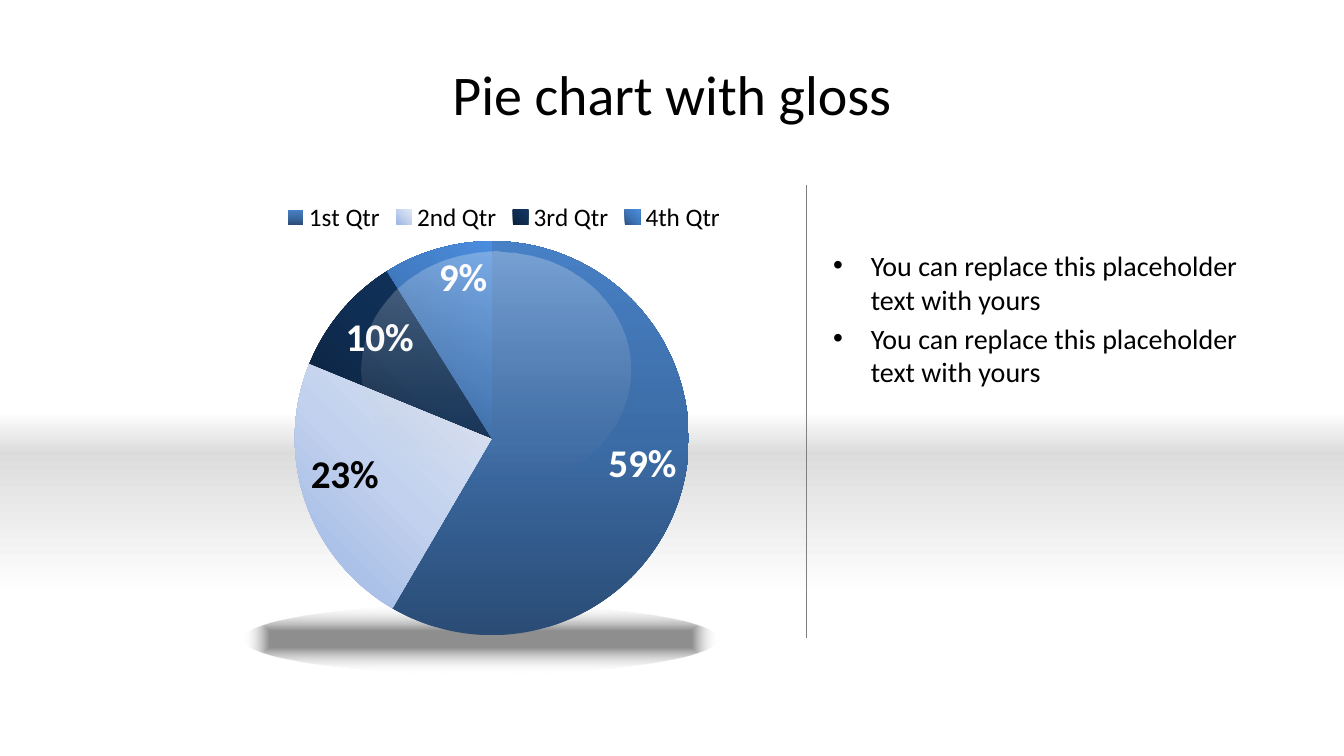
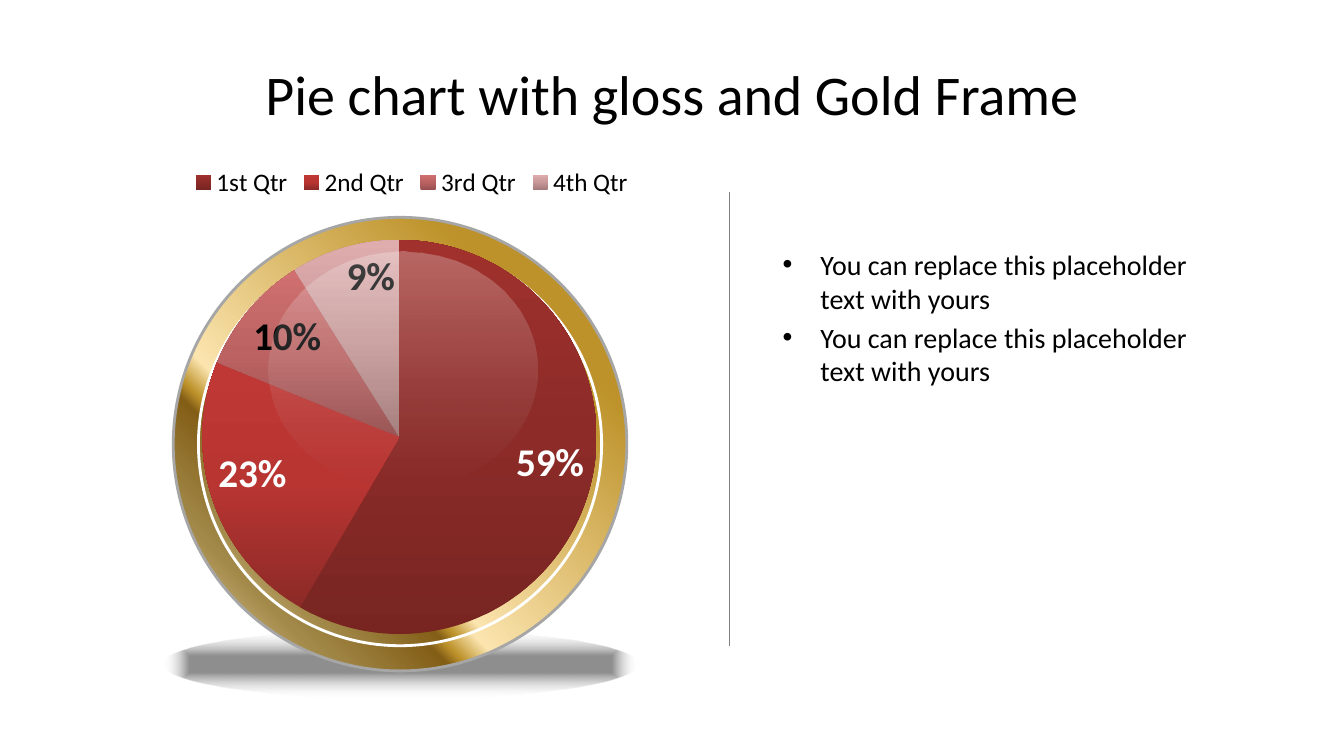
"""Build two slides, each with a glossy pie chart beside a bulleted list."""
from pptx import Presentation
from pptx.chart.data import ChartData
from pptx.dml.color import RGBColor
from pptx.enum.chart import XL_CHART_TYPE, XL_LABEL_POSITION, XL_LEGEND_POSITION
from pptx.enum.shapes import MSO_CONNECTOR, MSO_SHAPE
from pptx.enum.text import MSO_ANCHOR, PP_ALIGN
from pptx.oxml import parse_xml
from pptx.oxml.ns import nsdecls, qn
from pptx.util import Pt

PX = 9525
FONT = "Calibri"
OVAL, RECT = MSO_SHAPE.OVAL, MSO_SHAPE.RECTANGLE
PIE, STRAIGHT = XL_CHART_TYPE.PIE, MSO_CONNECTOR.STRAIGHT
INSIDE_END, LEGEND_TOP = XL_LABEL_POSITION.INSIDE_END, XL_LEGEND_POSITION.TOP
TOP, MIDDLE = MSO_ANCHOR.TOP, MSO_ANCHOR.MIDDLE
LEFT, CENTER = PP_ALIGN.LEFT, PP_ALIGN.CENTER

BLACK = RGBColor(0x00, 0x00, 0x00)
WHITE = RGBColor(0xFF, 0xFF, 0xFF)
GREY = RGBColor(0x80, 0x80, 0x80)
SILVER = RGBColor(0xA6, 0xA6, 0xA6)
BAND_LOW = RGBColor(0xDD, 0xDD, 0xDD)
BAND_HIGH = RGBColor(0xDB, 0xDB, 0xDB)
GLOSS_END = RGBColor(0xB6, 0xB6, 0xB6)
GOLD = RGBColor(0xBD, 0x92, 0x2A)
PALE_GOLD = RGBColor(0xFB, 0xE4, 0xAE)
DARK_GOLD = RGBColor(0x83, 0x5E, 0x17)
DULL_GOLD = RGBColor(0xA2, 0x89, 0x49)
CREAM = RGBColor(0xFA, 0xE3, 0xB7)
BLUES = [
    (RGBColor(0x2A, 0x4C, 0x75), RGBColor(0x3C, 0x6C, 0xA6), RGBColor(0x47, 0x80, 0xC5)),
    (RGBColor(0x9A, 0xB5, 0xE4), RGBColor(0xC2, 0xD1, 0xED), RGBColor(0xE1, 0xE8, 0xF5)),
    (RGBColor(0x0B, 0x20, 0x3B), RGBColor(0x0F, 0x2E, 0x53), RGBColor(0x12, 0x36, 0x63)),
    (RGBColor(0x2D, 0x54, 0x84), RGBColor(0x3F, 0x77, 0xBB), RGBColor(0x4B, 0x8D, 0xDE)),
]
REDS = [
    (RGBColor(0x78, 0x25, 0x22), RGBColor(0x8C, 0x2B, 0x28), RGBColor(0xA0, 0x31, 0x2D)),
    (RGBColor(0x8C, 0x2A, 0x27), RGBColor(0xB8, 0x35, 0x32), RGBColor(0xC0, 0x38, 0x35)),
    (RGBColor(0x98, 0x50, 0x50), RGBColor(0xBC, 0x62, 0x62), RGBColor(0xD0, 0x70, 0x70)),
    (RGBColor(0xA5, 0x7B, 0x7B), RGBColor(0xC8, 0x98, 0x98), RGBColor(0xDF, 0xAD, 0xAD)),
]

SHADOW_STOPS = [(24, BLACK, 44), (100, WHITE, 0)]
GLOSS_STOPS = [(0, WHITE, 27), (100, GLOSS_END, 0)]
GOLD_STOPS = [(0, PALE_GOLD, 100), (13, GOLD, 100), (21, GOLD, 100), (63, PALE_GOLD, 100),
              (67, GOLD, 100), (69, DARK_GOLD, 100), (82, DULL_GOLD, 100), (100, CREAM, 100)]
CATEGORIES = ["1st Qtr", "2nd Qtr", "3rd Qtr", "4th Qtr"]
VALUES = [59, 23, 10, 9]
PERCENT = '0"%"'
BULLETS = ["You can replace this placeholder text with yours"] * 2

SLIDES = [
    dict(title="Pie chart with gloss",
         backdrop=[(RECT, (0, 432, 1280, 136), [(0, BAND_LOW, 100), (100, WHITE, 100)], 90, None),
                   (RECT, (0, 392, 1280, 41), [(0, BAND_HIGH, 100), (100, WHITE, 100)], 270, None)],
         shadow=(232, 576, 451, 65), chart=(160, 168, 592, 488), legend=(0.18, 0.04),
         colors=BLUES, angles=[270, 315, 315, 315], labels=[WHITE, BLACK, WHITE, WHITE],
         divider=(768, 176), body=(784, 232, 424, 411), gloss=(344, 240, 256, 224)),
    dict(title="Pie chart with gloss and Gold Frame",
         backdrop=[(OVAL, (165, 207, 432, 432), GOLD_STOPS, 135, SILVER),
                   (OVAL, (189, 231, 384, 384), GOLD_STOPS, 135, WHITE)],
         shadow=(156, 600, 451, 65), chart=(72, 149, 592, 523), legend=(0.18, 0.01),
         colors=REDS, angles=[270] * 4, labels=[WHITE, WHITE, BLACK, BLACK],
         divider=(695, 183), body=(736, 231, 419, 396), gloss=(256, 240, 256, 224)),
]


def fill_gradient(fill, stops, angle=None):
    """Fill with (position, colour, opacity) stops, along an angle or from the centre."""
    gs = "".join(f'<a:gs pos="{pos * 1000}"><a:srgbClr val="{color}">'
                 f'<a:alpha val="{alpha * 1000}"/></a:srgbClr></a:gs>'
                 for pos, color, alpha in stops)
    if angle is None:
        shade = ('<a:path path="shape"><a:fillToRect l="50000" t="50000" '
                 'r="50000" b="50000"/></a:path>')
    else:
        shade = f'<a:lin ang="{angle * 60000}" scaled="0"/>'
    fill.solid()
    parent = fill._xPr
    parent.replace(parent.find(qn("a:solidFill")), parse_xml(
        f'<a:gradFill {nsdecls("a")} rotWithShape="1"><a:gsLst>{gs}</a:gsLst>{shade}</a:gradFill>'))


def add_text(s, box, lines, size, align=LEFT, anchor=TOP, bullet=False):
    """Add a wrapped text box with one paragraph for each line."""
    tf = s.shapes.add_textbox(*[v * PX for v in box]).text_frame
    tf.word_wrap = True
    tf.vertical_anchor = anchor
    for i, text in enumerate(lines):
        p = tf.paragraphs[0] if i == 0 else tf.add_paragraph()
        p.alignment = align
        if i:
            p.space_before = Pt(size / 5)
        if bullet:
            pPr = p._p.get_or_add_pPr()
            pPr.set("marL", str(36 * PX))
            pPr.set("indent", str(-36 * PX))
            pPr.append(parse_xml(f'<a:buFont {nsdecls("a")} typeface="Arial"/>'))
            pPr.append(parse_xml(f'<a:buChar {nsdecls("a")} char="•"/>'))
        r = p.add_run()
        r.text = text
        r.font.name = FONT
        r.font.size = Pt(size)
        r.font.color.rgb = BLACK


prs = Presentation()
prs.slide_width = 1280 * PX
prs.slide_height = 720 * PX

for d in SLIDES:
    s = prs.slides.add_slide(prs.slide_layouts[6])
    ovals_and_bands = [(OVAL, d["shadow"], SHADOW_STOPS, None, None), *d["backdrop"],
                       (OVAL, d["gloss"], GLOSS_STOPS, 90, None)]
    for kind, box, stops, angle, line in ovals_and_bands:
        sp = s.shapes.add_shape(kind, *[v * PX for v in box])
        sp.shadow.inherit = False
        fill_gradient(sp.fill, stops, angle)
        if line is None:
            sp.line.fill.background()
        else:
            sp.line.color.rgb = line
            sp.line.width = Pt(2)
    gloss = sp

    data = ChartData(number_format=PERCENT)
    data.categories = CATEGORIES
    data.add_series("Series 1", VALUES)
    frame = s.shapes.add_chart(PIE, *[v * PX for v in d["chart"]], data)
    chart = frame.chart
    chart.has_title = False
    chart.font.name = FONT
    chart.font.size = Pt(18)
    chart.font.color.rgb = BLACK
    chart.has_legend = True
    chart.legend.position = LEGEND_TOP
    chart.legend.include_in_layout = False
    plot = chart.plots[0]
    plot.vary_by_categories = True
    for i, shades in enumerate(d["colors"]):
        point = plot.series[0].points[i]
        fill_gradient(point.format.fill, [(50 * n, c, 100) for n, c in enumerate(shades)],
                      d["angles"][i])
        point.format.line.fill.background()
        label = point.data_label
        label.position = INSIDE_END
        label.font.name = FONT
        label.font.size = Pt(28)
        label.font.bold = True
        label.font.color.rgb = d["labels"][i]
    labels = plot.series[0].data_labels
    labels.show_value = True
    labels.number_format = PERCENT
    labels.number_format_is_linked = False

    space = chart._chartSpace
    space.chart.addnext(parse_xml(
        f'<c:spPr {nsdecls("c", "a")}><a:noFill/><a:ln><a:noFill/></a:ln></c:spPr>'))
    plot_layout = dict(x=0.204, y=0.068, w=0.634, h=0.886)
    legend_layout = dict(zip("xy", d["legend"]))
    for parent, index, layout in [(space.chart.plotArea, 0, plot_layout),
                                  (chart.legend._element, 1, legend_layout)]:
        for old in parent.findall(qn("c:layout")):
            parent.remove(old)
        target = '<c:layoutTarget val="inner"/>' if index == 0 else ""
        modes = "".join(f'<c:{k}Mode val="edge"/>' for k in "xy")
        sizes = "".join(f'<c:{k} val="{v}"/>' for k, v in layout.items())
        parent.insert(index, parse_xml(
            f'<c:layout {nsdecls("c")}><c:manualLayout>{target}{modes}{sizes}'
            '</c:manualLayout></c:layout>'))

    x, y = d["divider"]
    divider = s.shapes.add_connector(STRAIGHT, x * PX, y * PX, x * PX, (y + 432) * PX)
    divider.line.color.rgb = GREY
    divider.line.width = Pt(0.75)
    divider._element.spPr.append(parse_xml(f'<a:effectLst {nsdecls("a")}/>'))

    add_text(s, (64, 29, 1152, 120), [d["title"]], 40, align=CENTER, anchor=MIDDLE)
    add_text(s, d["body"], BULLETS, 20, bullet=True)
    s.shapes._spTree.append(gloss._element)

prs.save("out.pptx")
